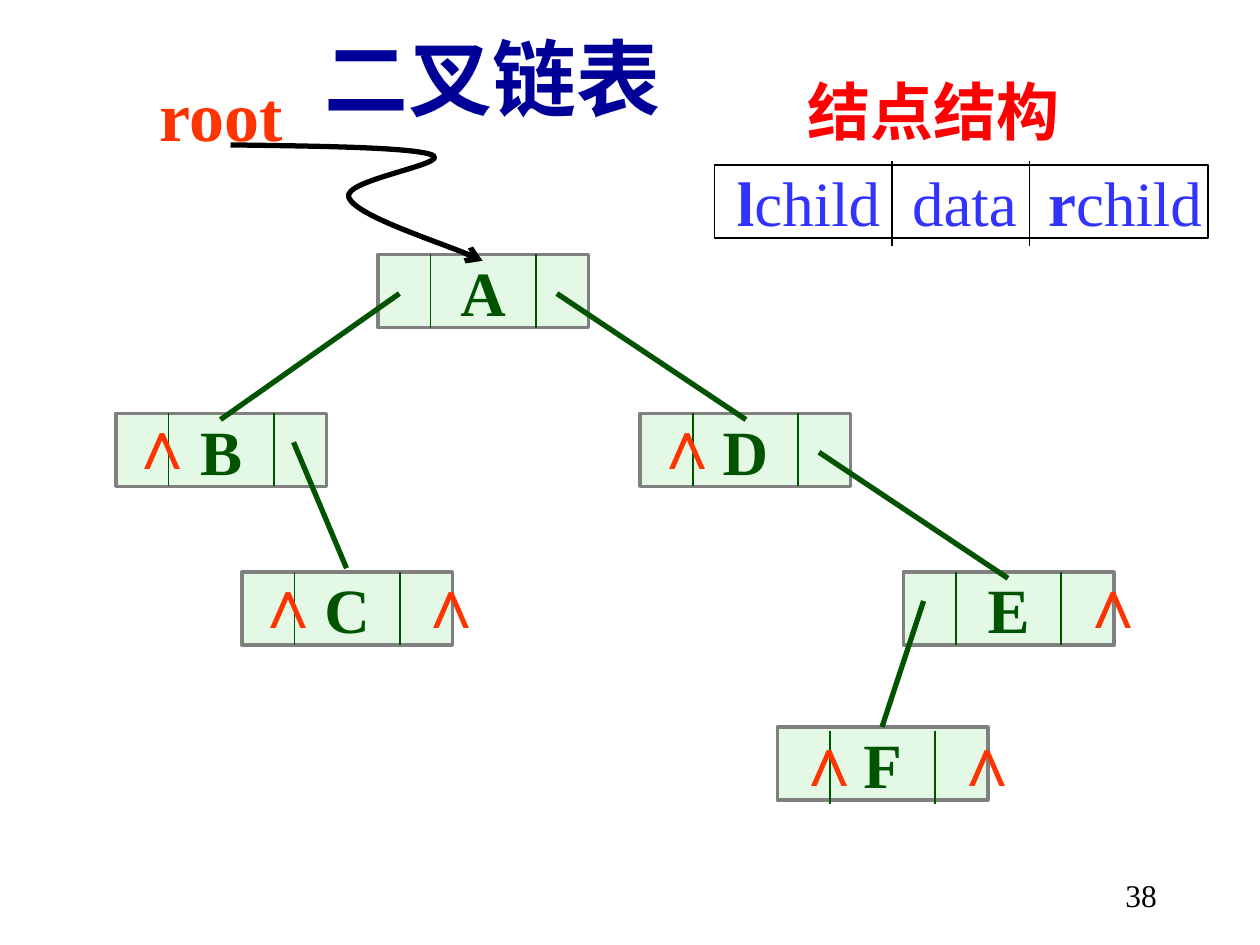
import dataclasses

import lxml.etree
import pptx
import pptx.dml.color
import pptx.enum.shapes
import pptx.enum.text
import pptx.oxml.ns
import pptx.util

Inches = pptx.util.Inches
qn = pptx.oxml.ns.qn
ALIGN = pptx.enum.text.PP_ALIGN


@dataclasses.dataclass(frozen=True)
class Theme:
    serif: str = "Times New Roman"
    sans: str = "Arial"
    cjk: str = "Noto Sans CJK SC"
    green: str = "005400"
    pale: str = "CAF2CE"
    gray: str = "808080"
    orange: str = "FF3300"
    red: str = "FF0000"
    blue: str = "3333FF"
    navy: str = "000099"
    black: str = "000000"
    title: int = 48
    mark: int = 40
    label: int = 36
    small: int = 18


def color(code):
    return pptx.dml.color.RGBColor.from_string(code)


def add_sub(parent, tag, **attrs):
    return lxml.etree.SubElement(parent, qn(tag), attrs)


class Page:
    def __init__(self, slide, theme):
        self.shapes = slide.shapes
        self.theme = theme

    def stroke(self, shape, code, width):
        shape.line.color.rgb = color(code)
        shape.line.width = pptx.util.Pt(width)

    def run(self, para, text, size, code, bold=True, font=None):
        run = para.add_run()
        run.text = text
        run.font.size = pptx.util.Pt(size)
        run.font.bold = bold
        run.font.name = font or self.theme.serif
        run.font.color.rgb = color(code)
        latin = run.font._element.find(qn("a:latin"))
        latin.addnext(latin.makeelement(qn("a:ea"), {"typeface": self.theme.cjk}))

    def text(self, x, y, w, h, runs, wrap=False, grow=True, align=ALIGN.LEFT,
             space=None, tabs=()):
        frame = self.shapes.add_textbox(
            Inches(x), Inches(y), Inches(w), Inches(h)).text_frame
        frame.word_wrap = wrap
        if grow:
            frame.auto_size = pptx.enum.text.MSO_AUTO_SIZE.SHAPE_TO_FIT_TEXT
        para = frame.paragraphs[0]
        para.alignment = align
        if space:
            para.line_spacing = space
        if tabs:
            stops = add_sub(para._p.get_or_add_pPr(), "a:tabLst")
            for stop in tabs:
                add_sub(stops, "a:tab", pos=str(Inches(stop)), algn="l")
        for item in runs:
            self.run(para, *item)

    def box(self, x, y, w, h, edge, width, fill=None):
        box = self.shapes.add_shape(
            pptx.enum.shapes.MSO_SHAPE.RECTANGLE,
            Inches(x), Inches(y), Inches(w), Inches(h))
        box.shadow.inherit = False
        self.stroke(box, edge, width)
        if fill:
            box.fill.solid()
            box.fill.fore_color.rgb = color(fill)
            tint = box._element.spPr.find(qn("a:solidFill"))[0]
            add_sub(tint, "a:alpha", val="50000")
        else:
            box.fill.background()
        return box

    def line(self, x1, y1, x2, y2, code, width):
        line = self.shapes.add_connector(
            pptx.enum.shapes.MSO_CONNECTOR.STRAIGHT,
            Inches(x1), Inches(y1), Inches(x2), Inches(y2))
        self.stroke(line, code, width)
        add_sub(line._element.spPr, "a:effectLst")

    def node(self, name, x, y, lift):
        t = self.theme
        wide, high = 1.67, 0.58
        box = self.box(x, y - lift, wide, high, t.gray, 2, t.pale)
        frame = box.text_frame
        frame.word_wrap = False
        frame.vertical_anchor = pptx.enum.text.MSO_ANCHOR.MIDDLE
        para = frame.paragraphs[0]
        para.alignment = ALIGN.CENTER
        self.run(para, name, t.label, t.green)
        for part in (0.25, 0.75):
            mid = x + wide * part
            self.line(mid, y, mid, y + high, t.green, 1)

    def curve(self, start, points, code, width):
        """Draw cubic segments; points come in threes, two controls and an end."""
        spots = [(Inches(x), Inches(y)) for x, y in points]
        pen = self.shapes.build_freeform(Inches(start[0]), Inches(start[1]))
        pen.add_line_segments(spots, close=False)
        shape = pen.convert_to_shape()
        shape.shadow.inherit = False
        shape.fill.background()
        self.stroke(shape, code, width)
        # Turn each three straight steps into one cubic segment
        steps = list(shape._element.iter(qn("a:lnTo")))
        track = steps[0].getparent()
        for i in range(0, len(steps), 3):
            bend = add_sub(track, "a:cubicBezTo")
            for step in steps[i:i + 3]:
                bend.append(step[0])
                track.remove(step)
        add_sub(shape.line._get_or_add_ln(), "a:tailEnd", type="arrow")


def main():
    t = Theme()
    deck = pptx.Presentation()
    deck.slide_width, deck.slide_height = Inches(10), Inches(7.5)
    page = Page(deck.slides.add_slide(deck.slide_layouts[6]), t)

    # Tree nodes: name, left, level, lift of the box, offsets of null marks
    top, step = 2.02, 1.26
    nodes = [
        ("A", 3, 0, 0, ()),
        ("D", 5.08, 1, 0, (0,)),
        ("E", 7.17, 2, 0, (1.29,)),
        ("B", 0.92, 1, 0, (-0.01,)),
        ("C", 1.92, 2, 0, (-0.01, 1.29)),
        ("F", 6.17, 3, 0.03, (0.04, 1.29)),
    ]
    for name, x, level, lift, _ in nodes:
        page.node(name, x, top + step * level, lift)

    # Null pointers
    for _, x, level, _, marks in nodes:
        for shift in marks:
            page.text(x + shift, top + step * level - 0.16, 0.38, 0.77,
                      [("∧", t.mark, t.orange, True, t.sans)])

    # Child links: each drops one inch
    for x1, y, x2 in [(3.17, 2.33, 1.75), (4.42, 2.33, 5.92),
                      (2.33, 3.51, 2.75), (6.5, 3.59, 8), (7.33, 4.77, 7)]:
        page.line(x1, y, x2, y + 1, t.green, 3)

    # Root pointer
    page.curve((1.83, 1.15), [
        (2.56, 1.16), (3.28, 1.17), (3.43, 1.23),
        (3.59, 1.3), (2.7, 1.43), (2.77, 1.57),
        (2.83, 1.71), (3.66, 1.98), (3.83, 2.07)], t.black, 3)
    page.text(1.17, 0.52, 1.18, 0.77, [("root", t.mark, t.orange)])

    # Node layout
    page.text(5.75, 1.25, 3.89, 0.7, [
        ("l", t.label, t.blue),
        ("child\tdata\t", t.label, t.blue, False),
        ("r", t.label, t.blue),
        ("child", t.label, t.blue, False)], tabs=(1.39, 2.47))
    page.box(5.67, 1.31, 3.92, 0.58, t.black, 1)
    for x in (7.08, 8.17):
        page.line(x, 1.28, x, 1.95, t.black, 1)
    page.text(6.31, 0.53, 3.02, 0.7, [("结点结构", t.label, t.red)], wrap=True)

    # Title and page number
    page.text(2.48, 0, 3.07, 1.06, [("二叉链表", t.title, t.navy, True, t.cjk)],
              wrap=True, space=1.2)
    page.text(7.2, 6.9, 2.08, 0.5, [("38", t.small, t.black, False)],
              wrap=True, grow=False, align=ALIGN.RIGHT)

    deck.save("out.pptx")


if __name__ == "__main__":
    main()
